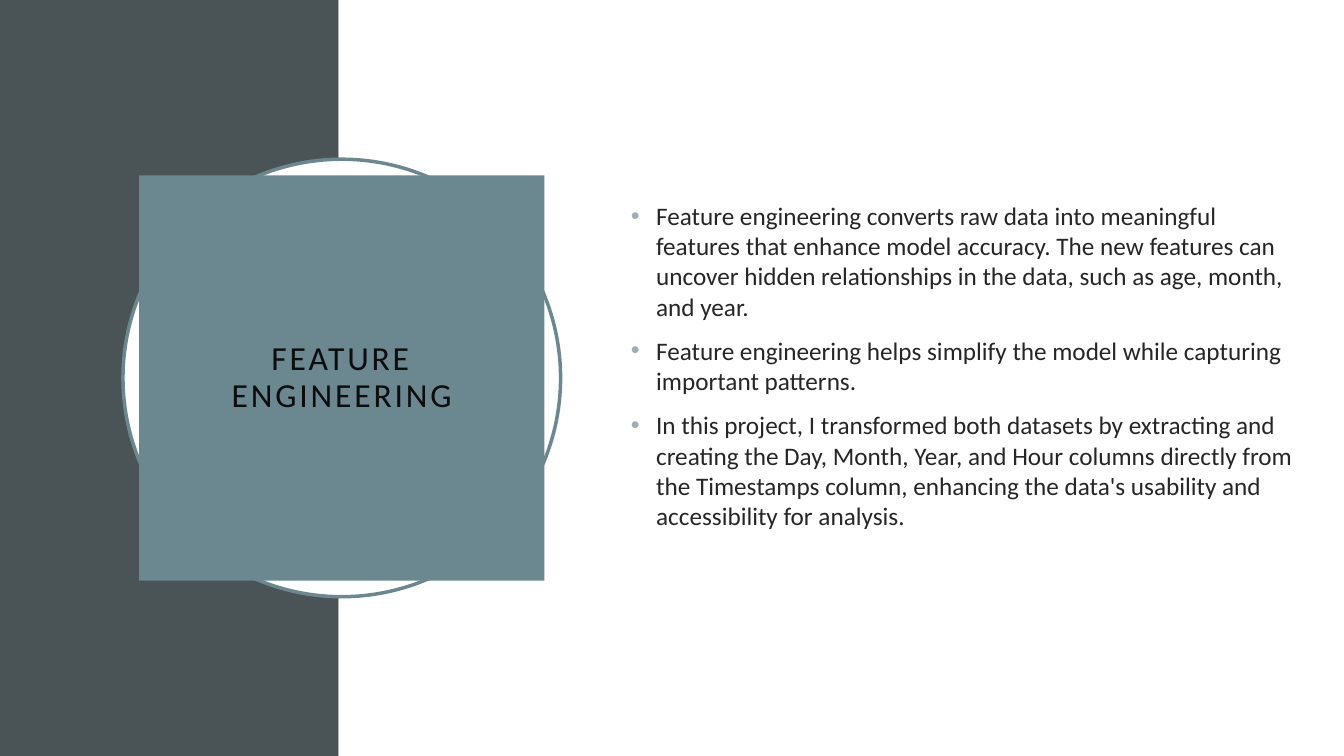
from collections import namedtuple

from lxml.etree import SubElement
from pptx import Presentation
from pptx.dml.color import RGBColor
from pptx.enum.shapes import MSO_SHAPE as Shape
from pptx.enum.text import MSO_ANCHOR as Anchor, MSO_AUTO_SIZE as AutoSize, PP_ALIGN as Align
from pptx.oxml.ns import qn
from pptx.util import Inches, Pt

Box = namedtuple("Box", "left top width height")

SLIDE = Box(0, 0, 13.33, 7.5)
SIDE_WIDTH = 3.36
BADGE = Box(1.22, 1.58, 4.34, 4.34)
BODY = Box(6.16, 1.49, 6.8, 4.27)

SLATE, TEAL, WHITE = "4A5356", "6B8891", "FFFFFF"
TITLE_FORMAT = {"name": "Calibri", "size": Pt(24), "bold": False}
BODY_FORMAT = {"name": "Calibri", "size": Pt(18)}
POINTS = [
    "Feature engineering converts raw data into meaningful features that enhance "
    "model accuracy. The new features can uncover hidden relationships in the data, "
    "such as age, month, and year.",
    "Feature engineering helps simplify the model while capturing important patterns.",
    "In this project, I transformed both datasets by extracting and creating the Day, "
    "Month, Year, and Hour columns directly from the Timestamps column, enhancing the "
    "data's usability and accessibility for analysis.",
]


def color(value):
    return RGBColor.from_string(value)


def inches(box):
    return [Inches(length) for length in box]


def set_values(target, values):
    for name, value in values.items():
        setattr(target, name, value)


def format_span(span, values, ink):
    set_values(span.font, values)
    span.font.color.rgb = color(ink)


def add_filled(slide, kind, box, fill, line=None):
    shape = slide.shapes.add_shape(kind, *inches(box))
    shape.shadow.inherit = False
    shape.fill.solid()
    shape.fill.fore_color.rgb = color(fill)
    if line:
        shape.line.color.rgb = color(line)
        shape.line.width = Pt(2.5)
    else:
        shape.line.fill.background()
    return shape


def add_panels(slide, box, split):
    add_filled(slide, Shape.RECTANGLE, box._replace(width=split), SLATE)
    add_filled(slide, Shape.RECTANGLE,
               box._replace(left=box.left + split, width=box.width - split), WHITE)


def add_title_badge(slide, box, text):
    """Ring filling the box, with the title square centred over it."""
    ring = add_filled(slide, Shape.OVAL, box, WHITE, TEAL)
    title = slide.shapes.title
    ring.element.addnext(title.element)
    gap = 0.16
    square = Box(box.left + gap, box.top + gap, box.width - 2 * gap, box.height - 2 * gap)
    set_values(title, dict(zip(Box._fields, inches(square))))
    title.fill.solid()
    title.fill.fore_color.rgb = color(TEAL)

    frame = title.text_frame
    margins = {f"margin_{side}": Inches(0.5) for side in ("left", "top", "right", "bottom")}
    set_values(frame, {"word_wrap": True, "auto_size": AutoSize.NONE,
                       "vertical_anchor": Anchor.MIDDLE, **margins})
    para = frame.paragraphs[0]
    set_values(para, {"alignment": Align.CENTER, "line_spacing": 0.9})
    span = para.add_run()
    span.text = text
    format_span(span, TITLE_FORMAT, "0D0D0D")
    span.font._element.set("spc", "200")


def add_bullet(para, ink):
    properties = para._p.get_or_add_pPr()
    properties.set("marL", str(Inches(0.25)))
    properties.set("indent", str(-Inches(0.25)))
    bullet_color = SubElement(properties, qn("a:buClr"))
    SubElement(bullet_color, qn("a:srgbClr"), val=ink)
    SubElement(properties, qn("a:buFont"), typeface="Arial")
    SubElement(properties, qn("a:buChar"), char="•")


def add_points(slide, box, points):
    frame = slide.shapes.add_textbox(*inches(box)).text_frame
    set_values(frame, {"word_wrap": True, "vertical_anchor": Anchor.MIDDLE})
    for index, point in enumerate(points):
        para = frame.add_paragraph() if index else frame.paragraphs[0]
        para.space_before = Pt(10)
        add_bullet(para, "9BAFB5")
        span = para.add_run()
        span.text = point
        format_span(span, BODY_FORMAT, "262626")


def main():
    deck = Presentation()
    deck.slide_width, deck.slide_height = Inches(SLIDE.width), Inches(SLIDE.height)
    slide = deck.slides.add_slide(deck.slide_layouts.get_by_name("Title Only"))
    add_panels(slide, SLIDE, SIDE_WIDTH)
    add_title_badge(slide, BADGE, "FEATURE ENGINEERING")
    add_points(slide, BODY, POINTS)
    deck.save("out.pptx")


if __name__ == "__main__":
    main()
